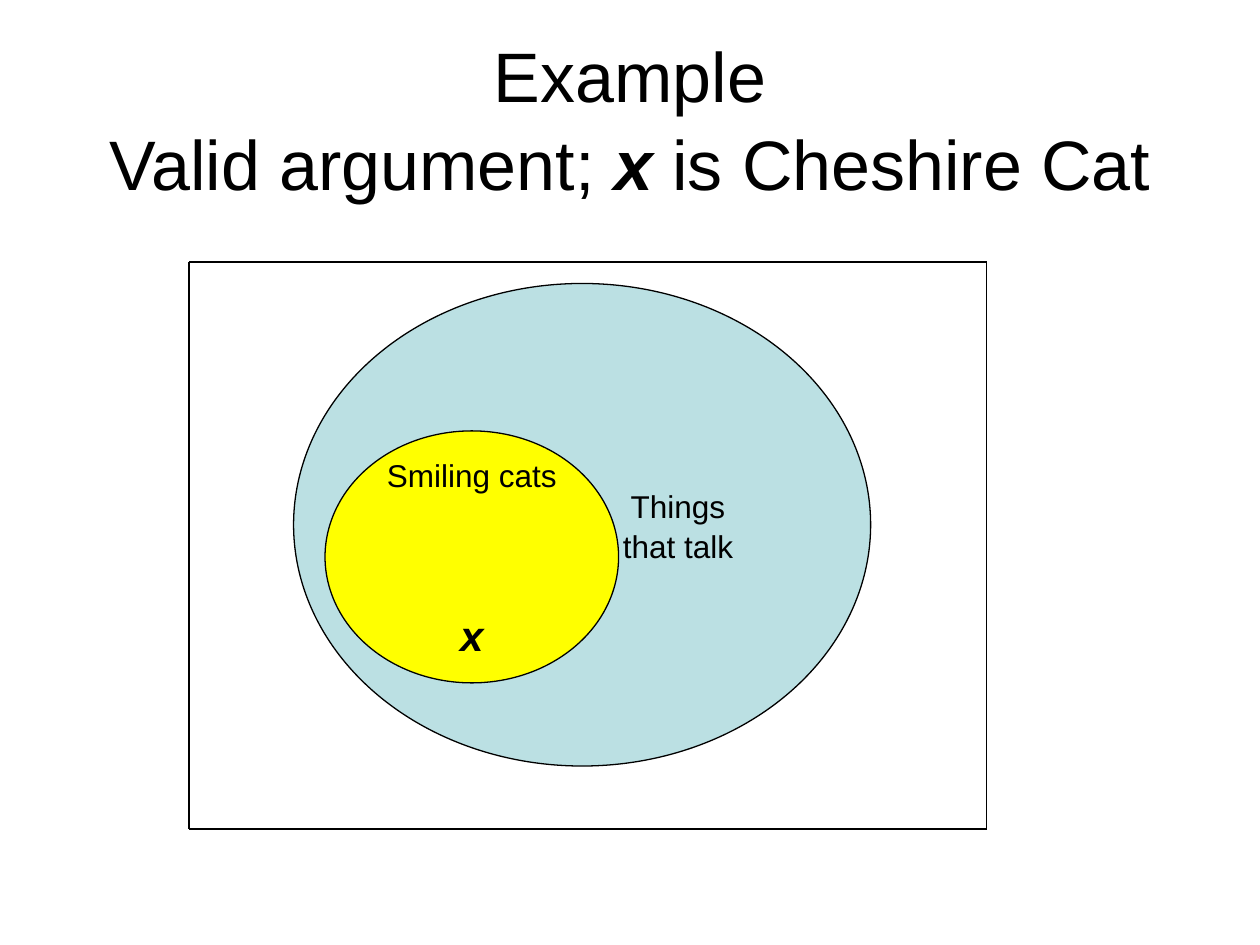
from pptx import Presentation
from pptx.dml.color import RGBColor
from pptx.enum.shapes import MSO_CONNECTOR, MSO_SHAPE
from pptx.enum.text import MSO_ANCHOR, PP_ALIGN
from pptx.oxml.ns import qn
from pptx.util import Inches, Pt
from lxml import etree

BLACK = RGBColor(0x00, 0x00, 0x00)
PALE_BLUE = RGBColor(0xBB, 0xE0, 0xE3)
YELLOW = RGBColor(0xFF, 0xFF, 0x00)
OVAL = MSO_SHAPE.OVAL
STRAIGHT = MSO_CONNECTOR.STRAIGHT
MIDDLE = MSO_ANCHOR.MIDDLE
CENTER = PP_ALIGN.CENTER


def add_text(p, text, size=18, strong=False):
    """Append a run to a centred paragraph; strong means bold italic."""
    p.alignment = CENTER
    p.line_spacing = 1.05
    r = p.add_run()
    r.text = text
    r.font.name = "Arial"
    r.font.size = Pt(size)
    r.font.bold = r.font.italic = strong
    r.font.color.rgb = BLACK


def add_title(s, left, top, width, height):
    """Fill the title placeholder with its two lines."""
    sp = s.shapes.title
    sp.left, sp.top = Inches(left), Inches(top)
    sp.width, sp.height = Inches(width), Inches(height)
    tf = sp.text_frame
    tf.vertical_anchor = MIDDLE
    p = tf.paragraphs[0]
    add_text(p, "Example", size=40)
    p.add_line_break()
    add_text(p, "Valid argument; ", size=40)
    add_text(p, "x", size=40, strong=True)
    add_text(p, " is Cheshire Cat", size=40)


def add_set(s, left, top, width, height, fill):
    """Draw one set as an outlined ellipse and return its text frame."""
    sp = s.shapes.add_shape(OVAL, Inches(left), Inches(top), Inches(width), Inches(height))
    sp.shadow.inherit = False
    sp.fill.solid()
    sp.fill.fore_color.rgb = fill
    sp.line.color.rgb = BLACK
    sp.line.width = Pt(0.75)
    tf = sp.text_frame
    tf.word_wrap = False
    tf.vertical_anchor = MIDDLE
    return tf


def add_talkers(s, left, top, width, height):
    """Draw the outer set, its label pushed right of the inner set."""
    tf = add_set(s, left, top, width, height, PALE_BLUE)
    tf.margin_left = Inches(1.62)
    add_text(tf.paragraphs[0], "Things")
    add_text(tf.add_paragraph(), "that talk")


def add_cats(s, left, top, width, height):
    """Draw the inner set with its label and the element x."""
    tf = add_set(s, left, top, width, height, YELLOW)
    add_text(tf.paragraphs[0], "Smiling cats")
    p = tf.add_paragraph()
    p.space_before = Pt(65)
    add_text(p, "x", size=24, strong=True)


def add_universe(s, left, top, width, height):
    """Draw the four border lines of the universe of discourse."""
    right, bottom = left + width, top + height
    sides = (
        (left, top, left, bottom),
        (left, top, right, top),
        (left, bottom, right, bottom),
        (right, top, right, bottom),
    )
    for side in sides:
        line = s.shapes.add_connector(STRAIGHT, *map(Inches, side))
        line.line.color.rgb = BLACK
        line.line.width = Pt(0.75)
        etree.SubElement(line._element.spPr, qn("a:effectLst"))


def main():
    """Build the slide and save it."""
    prs = Presentation()
    prs.slide_width, prs.slide_height = Inches(10), Inches(7.5)
    s = prs.slides.add_slide(prs.slide_layouts[5])
    add_title(s, 0.5, 0.3, 9, 1.25)
    add_talkers(s, 2.33, 2.25, 4.58, 3.83)
    add_cats(s, 2.58, 3.42, 2.33, 2)
    add_universe(s, 1.5, 2.08, 6.33, 4.5)
    prs.save("out.pptx")


if __name__ == "__main__":
    main()
